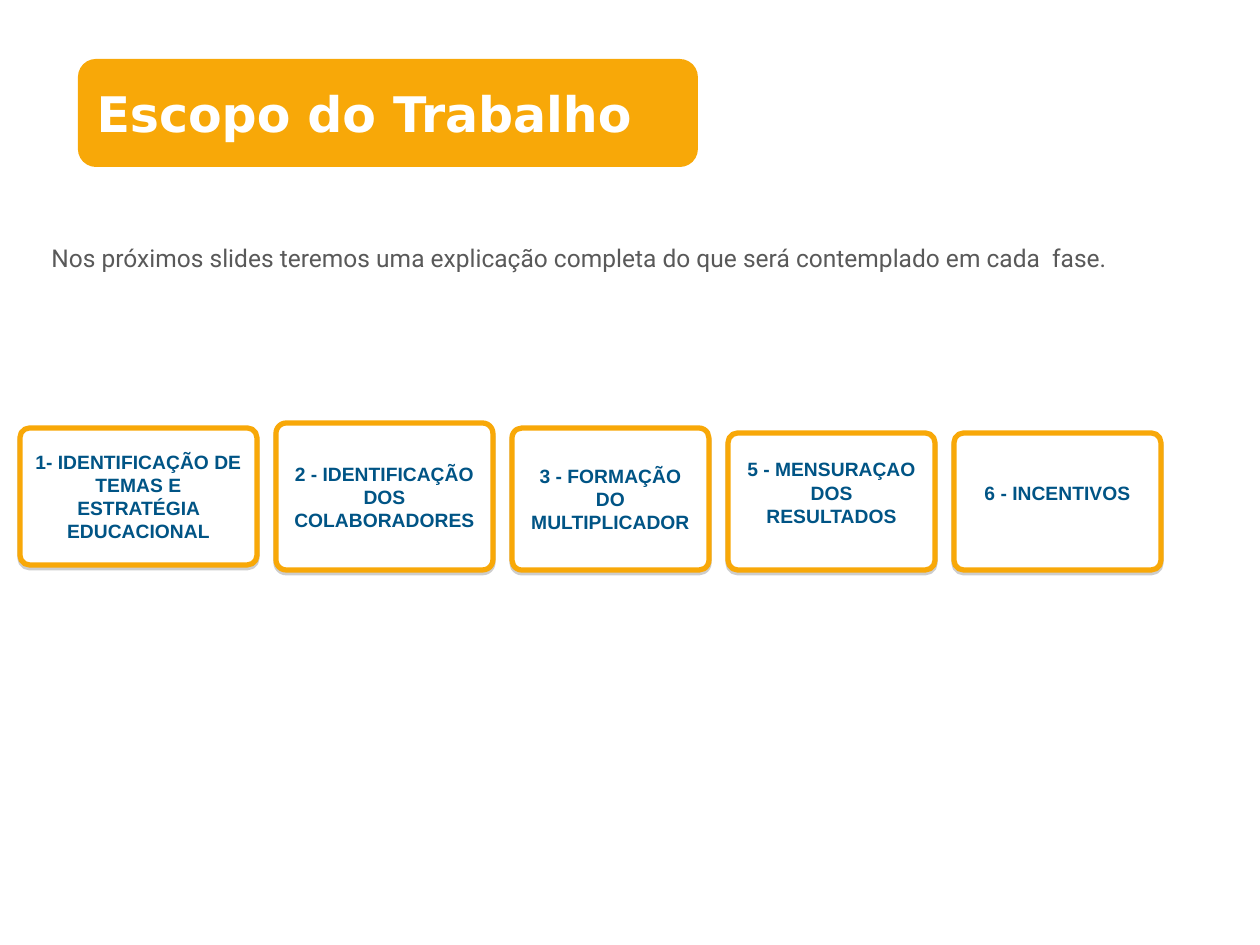
import pptx
import pptx.util
import pptx.dml.color
import pptx.enum.shapes
import pptx.enum.text
import pptx.oxml

TITLE = "Escopo do Trabalho"
INTRO = ("Nos próximos slides teremos uma explicação completa "
         "do que será contemplado em cada  fase.")
# text, top, width, height, extra space below the text
STEPS = [
    ("1- IDENTIFICAÇÃO DE TEMAS E ESTRATÉGIA EDUCACIONAL", 428, 237, 137, 0),
    ("2 - IDENTIFICAÇÃO DOS COLABORADORES", 423, 217, 147, 0),
    ("3 - FORMAÇÃO DO MULTIPLICADOR", 428, 197, 142, 0),
    ("5 - MENSURAÇAO DOS RESULTADOS", 433, 207, 137, 18),
    ("6 - INCENTIVOS", 433, 207, 137, 18),
]
LEFT, GAP = 20, 19
COLORS = {"gold": "F8A808", "white": "FFFFFF", "gray": "595959",
          "blue": "005485", "shade": "808080"}
SHADOW = (
    '<a:effectLst xmlns:a="http://schemas.openxmlformats.org/drawingml/2006/main">'
    '<a:outerShdw blurRad="0" dist="20320" dir="5400000" rotWithShape="0">'
    f'<a:srgbClr val="{COLORS["shade"]}"><a:alpha val="38000"/></a:srgbClr>'
    '</a:outerShdw></a:effectLst>')
ALIGN = pptx.enum.text.PP_ALIGN
MIDDLE = pptx.enum.text.MSO_ANCHOR.MIDDLE


def px(n):
    return pptx.util.Emu(round(n * 914400 / 126))


def color(name):
    return pptx.dml.color.RGBColor.from_string(COLORS[name])


def write(shape, text, font, size, tint, align, bold=False):
    frame = shape.text_frame
    frame.text = text
    frame.word_wrap = True
    frame.auto_size = pptx.enum.text.MSO_AUTO_SIZE.NONE
    frame.vertical_anchor = MIDDLE
    para = frame.paragraphs[0]
    para.alignment = align
    run = para.runs[0].font
    run.name, run.size, run.bold = font, pptx.util.Pt(size), bold
    run.color.rgb = color(tint)


def add_card(slide, box, fill):
    card = slide.shapes.add_shape(
        pptx.enum.shapes.MSO_SHAPE.ROUNDED_RECTANGLE, *map(px, box))
    card.shadow.inherit = False
    card.fill.solid()
    card.fill.fore_color.rgb = color(fill)
    card.line.fill.background()
    return card


def add_step(slide, left, text, top, width, height, below):
    card = add_card(slide, (left, top, width, height), "white")
    card.adjustments[0] = 0.07
    card.line.color.rgb = color("gold")
    card.line.width = pptx.util.Pt(3)
    props = card.element.spPr
    flat = props.find(pptx.oxml.ns.qn("a:effectLst"))
    props.replace(flat, pptx.oxml.parse_xml(SHADOW))
    write(card, text, "Arial", 11, "blue", ALIGN.CENTER, True)
    card.text_frame.margin_bottom += px(below)


def main():
    deck = pptx.Presentation()
    deck.slide_width, deck.slide_height = px(1260), px(945)
    slide = deck.slides.add_slide(deck.slide_layouts[5])

    banner = add_card(slide, (78, 59, 620, 108), "gold")
    title = slide.shapes.title
    title.left, title.top, title.width, title.height = map(px, (84, 59, 608, 108))
    write(title, TITLE, "DejaVu Sans", 28, "white", ALIGN.LEFT, True)
    banner.element.addnext(title.element)

    intro = slide.shapes.add_textbox(*map(px, (39, 236, 1191, 43)))
    write(intro, INTRO, "Roboto", 14, "gray", ALIGN.JUSTIFY)

    left = LEFT
    for step in STEPS:
        add_step(slide, left, *step)
        left += step[2] + GAP

    deck.save("out.pptx")


if __name__ == "__main__":
    main()
